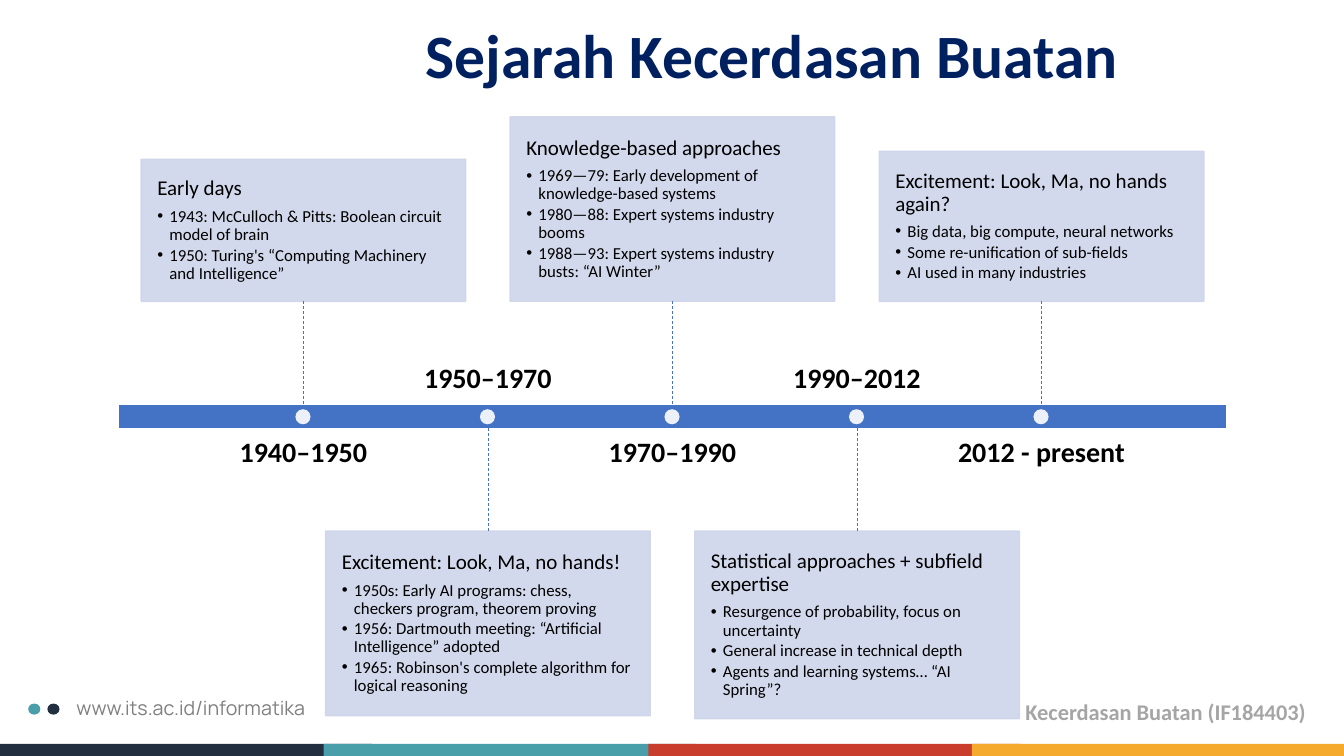
"""Builds a slide with a timeline of the history of artificial intelligence."""
from lxml import etree
from pptx import Presentation
from pptx.dml.color import RGBColor
from pptx.enum.dml import MSO_LINE
from pptx.enum.shapes import MSO_CONNECTOR, MSO_SHAPE
from pptx.enum.text import MSO_ANCHOR, MSO_AUTO_SIZE, PP_ALIGN
from pptx.oxml.ns import qn
from pptx.util import Pt

PX = 9144
RECT, ELLIPSE = MSO_SHAPE.RECTANGLE, MSO_SHAPE.OVAL
STRAIGHT, DASH = MSO_CONNECTOR.STRAIGHT, MSO_LINE.DASH
TOP, MIDDLE, BOTTOM = MSO_ANCHOR.TOP, MSO_ANCHOR.MIDDLE, MSO_ANCHOR.BOTTOM
LEFT, CENTER, RIGHT = PP_ALIGN.LEFT, PP_ALIGN.CENTER, PP_ALIGN.RIGHT
NO_FIT, GROW = MSO_AUTO_SIZE.NONE, MSO_AUTO_SIZE.SHAPE_TO_FIT_TEXT

TEAL, NAVY, BLUE, CARD = "489FA9", "212F40", "4472C4", "CFD5EA"
STRIPES = [NAVY, TEAL, "C93D2C", "F5AA2D"]
FIRST_CENTER, STEP = 301, 183
BAR_LEFT, BAR_TOP, BAR_WIDTH, BAR_HEIGHT = 117, 401, 1100, 24
CARD_WIDTH, LABEL_WIDTH, LABEL_HEIGHT, DOT = 322, 294, 68, 15
UPPER_CARD_BOTTOM, LOWER_CARD_TOP = 299, 527

ERAS = [
    ("1940–1950", 141, "Early days", [
        "1943: McCulloch & Pitts: Boolean circuit model of brain",
        "1950: Turing's “Computing Machinery and Intelligence”"]),
    ("1950–1970", 183, "Excitement: Look, Ma, no hands!", [
        "1950s: Early AI programs: chess, checkers program, theorem proving",
        "1956: Dartmouth meeting: “Artificial Intelligence” adopted",
        "1965: Robinson's complete algorithm for logical reasoning"]),
    ("1970–1990", 183, "Knowledge-based approaches", [
        "1969—79: Early development of knowledge-based systems",
        "1980—88: Expert systems industry booms",
        "1988—93: Expert systems industry busts: “AI Winter”"]),
    ("1990–2012", 186, "Statistical approaches + subfield expertise", [
        "Resurgence of probability, focus on uncertainty",
        "General increase in technical depth",
        "Agents and learning systems… “AI Spring”?"]),
    ("2012 - present", 149, "Excitement: Look, Ma, no hands again?", [
        "Big data, big compute, neural networks",
        "Some re-unification of sub-fields",
        "AI used in many industries"]),
]


def rgb(value):
    return RGBColor.from_string(value)


class Slide:
    def __init__(self, deck, font):
        self.page = deck.slides.add_slide(deck.slide_layouts[0])
        self.font = font

    def shape(self, kind, left, top, width, height, fill, line=None, alpha=100):
        box = self.page.shapes.add_shape(
            kind, left * PX, top * PX, width * PX, height * PX)
        box.shadow.inherit = False
        box.fill.solid()
        box.fill.fore_color.rgb = rgb(fill)
        if line:
            box.line.color.rgb = rgb(line)
            box.line.width = Pt(1)
        else:
            box.line.fill.background()
        if alpha < 100:
            for color in box.element.spPr.iter(qn("a:srgbClr")):
                etree.SubElement(color, qn("a:alpha"), val=str(alpha * 1000))
        return box

    def frame(self, box, anchor, inset=None, fit=NO_FIT):
        frame = box.text_frame
        frame.word_wrap = True
        frame.auto_size = fit
        frame.vertical_anchor = anchor
        if inset is not None:
            frame.margin_left = frame.margin_right = inset * PX
            frame.margin_top = frame.margin_bottom = inset * PX
        return frame

    def style(self, para, size, color, bold=False, align=LEFT, spacing=0.9,
              after=0, font=None):
        para.alignment = align
        para.line_spacing = spacing
        para.space_before = Pt(0)
        para.space_after = Pt(after)
        for span in para.runs:
            span.font.name = font or self.font
            span.font.size = Pt(size)
            span.font.bold = bold
            span.font.color.rgb = rgb(color)

    def text(self, words, left, top, width, height, size, color, anchor=TOP,
             inset=None, fit=NO_FIT, **style):
        box = self.page.shapes.add_textbox(
            left * PX, top * PX, width * PX, height * PX)
        frame = self.frame(box, anchor, inset, fit)
        frame.text = words
        self.style(frame.paragraphs[0], size, color, **style)

    def title(self, words, left, top, width, height):
        title, subtitle = self.page.placeholders
        subtitle.element.getparent().remove(subtitle.element)
        title.left, title.top = left * PX, top * PX
        title.width, title.height = width * PX, height * PX
        frame = self.frame(title, BOTTOM)
        frame.text = words
        self.style(frame.paragraphs[0], 44, "002060", bold=True, align=CENTER)

    def card(self, left, top, height, heading, points):
        box = self.shape(RECT, left, top, CARD_WIDTH, height, CARD, CARD, 90)
        frame = self.frame(box, MIDDLE, 16)
        frame.text = heading
        self.style(frame.paragraphs[0], 15, "000000", after=5.25)
        for point in points:
            para = frame.add_paragraph()
            para.text = point
            para.level = 1
            self.style(para, 12, "000000", after=1.8)
            properties = para._p.get_or_add_pPr()
            properties.set("marL", str(12 * PX))
            properties.set("indent", str(-12 * PX))
            etree.SubElement(properties, qn("a:buFont"), typeface="Arial")
            etree.SubElement(properties, qn("a:buChar"), char="•")
        return box

    def connector(self, center, start, end):
        line = self.page.shapes.add_connector(
            STRAIGHT, center * PX, start * PX, center * PX, end * PX)
        line.line.color.rgb = rgb(BLUE)
        line.line.width = Pt(0.5)
        line.line.dash_style = DASH
        etree.SubElement(line.element.spPr, qn("a:effectLst"))
        return line


def main():
    deck = Presentation()
    deck.slide_width, deck.slide_height = 1333 * PX, 750 * PX
    slide = Slide(deck, "Calibri")

    for index, color in enumerate(STRIPES):
        slide.shape(RECT, round(index * 964 / 3), 738, 369, 12, color)
    for left, color in ((28, TEAL), (47, NAVY)):
        slide.shape(ELLIPSE, left, 698, 12, 11, color)
    slide.text("www.its.ac.id/informatika", 66, 686, 428, 34, 14, "808080",
               fit=GROW, spacing=1.0, font="Manrope")
    slide.title("Sejarah Kecerdasan Buatan", 266, 9, 1000, 87)
    slide.text("Kecerdasan Buatan (IF184403)", 937, 688, 368, 37, 16, "A5A5A5",
               fit=GROW, spacing=1.0, bold=True, align=RIGHT)

    bar = slide.shape(RECT, BAR_LEFT, BAR_TOP, BAR_WIDTH, BAR_HEIGHT, BLUE, "FFFFFF")
    for index, (years, height, heading, points) in enumerate(ERAS):
        center = FIRST_CENTER + index * STEP
        upper = index % 2 == 0
        if upper:
            label_top, anchor = 435, TOP
            card_top, card_edge, side = UPPER_CARD_BOTTOM - height, UPPER_CARD_BOTTOM, 2
            bar_edge, bar_side = BAR_TOP, 0
        else:
            label_top, anchor = 323, BOTTOM
            card_top, card_edge, side = LOWER_CARD_TOP, LOWER_CARD_TOP, 0
            bar_edge, bar_side = BAR_TOP + BAR_HEIGHT, 2
        slide.text(years, center - LABEL_WIDTH // 2, label_top, LABEL_WIDTH,
                   LABEL_HEIGHT, 20, "000000", anchor, 0, bold=True, align=CENTER)
        card = slide.card(center - CARD_WIDTH // 2, card_top, height, heading, points)
        line = slide.connector(center, card_edge, bar_edge)
        line.begin_connect(card, side)
        if center == BAR_LEFT + BAR_WIDTH // 2:
            line.end_connect(bar, bar_side)
        slide.shape(ELLIPSE, center - 8, 406, DOT, DOT, "FFFFFF", alpha=90)

    deck.save("out.pptx")


if __name__ == "__main__":
    main()
